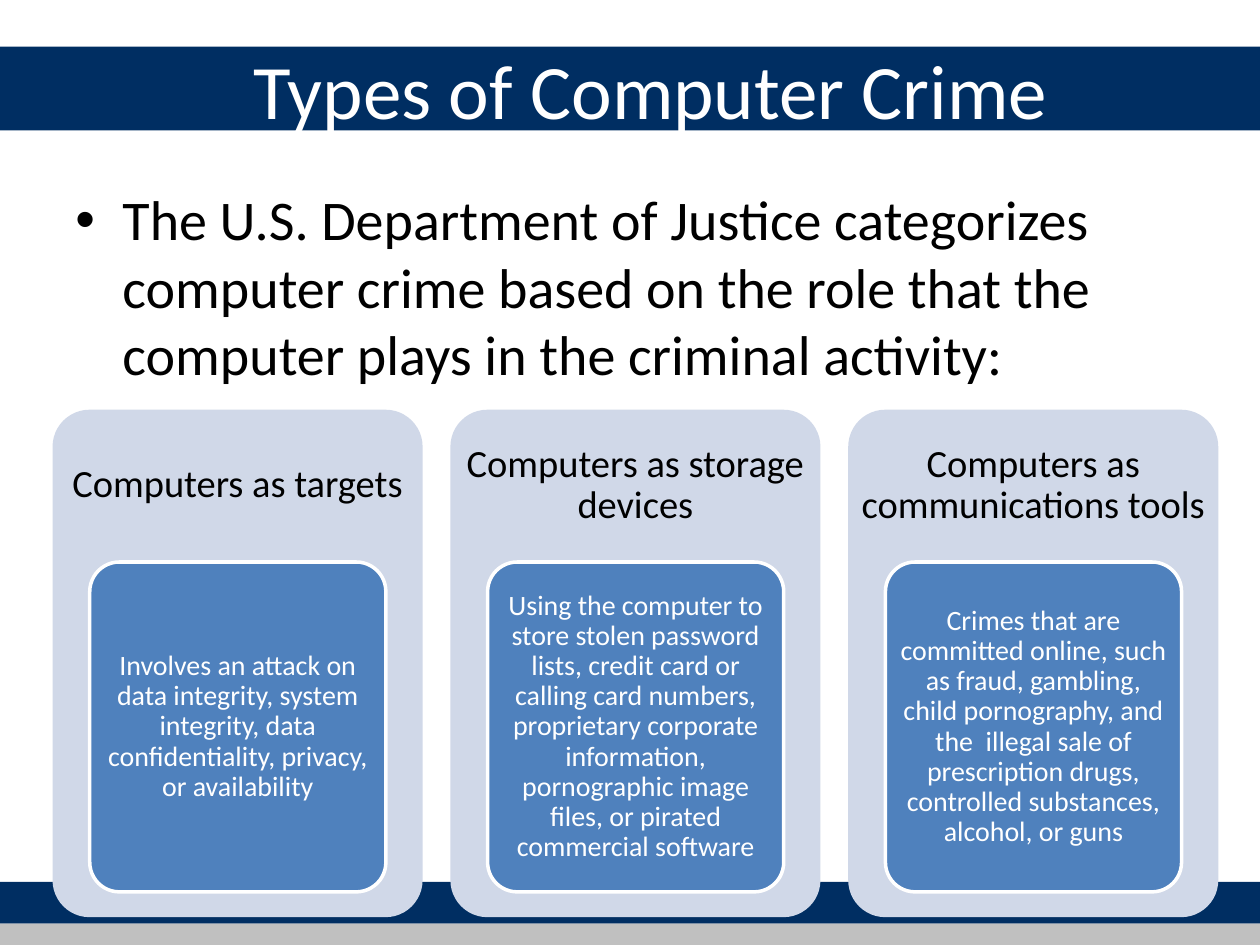
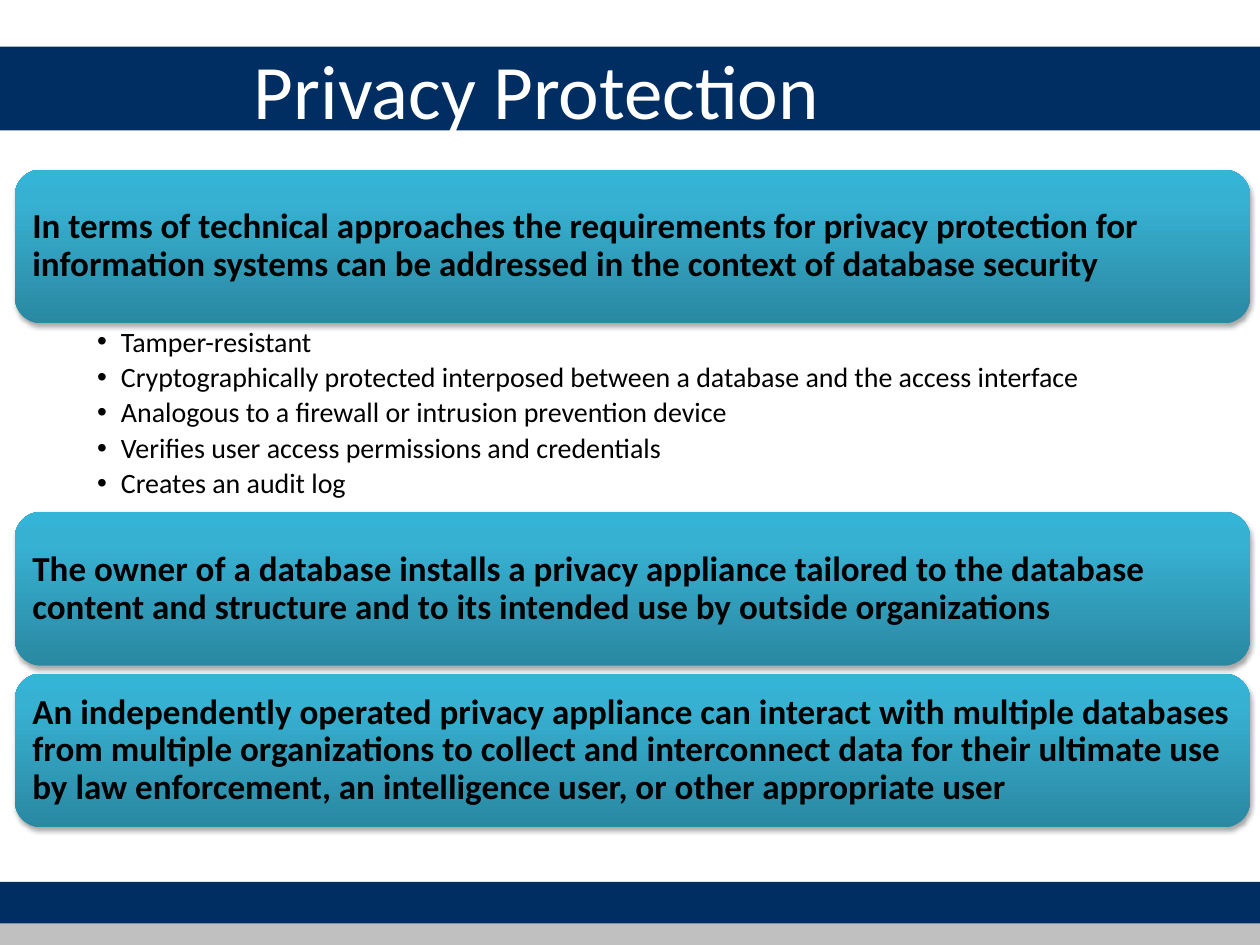
"""Build two slides on computer crime and privacy protection."""
from dataclasses import dataclass

from lxml import etree
from pptx import Presentation
from pptx.dml.color import RGBColor
from pptx.enum.shapes import MSO_SHAPE
from pptx.enum.text import MSO_ANCHOR, PP_ALIGN
from pptx.oxml import parse_xml
from pptx.oxml.ns import nsdecls, qn
from pptx.util import Cm, Pt


@dataclass(frozen=True)
class Theme:
    font: str = "Calibri"
    navy: str = "002E62"
    silver: str = "C0C0C0"
    white: str = "FFFFFF"
    black: str = "000000"
    card: str = "D0D8E8"
    panel: str = "4F81BD"
    banner: tuple = ((0, "2A88A2"), (80, "37B1D2"), (100, "34B4D6"))
    title_size: int = 44
    body_size: int = 32
    heading_size: int = 22
    banner_size: int = 20
    detail_size: int = 16


theme = Theme()


def add_block(slide, preset, box, color, corner=None):
    shape = slide.shapes.add_shape(preset, *map(Cm, box))
    shape.shadow.inherit = False
    shape.fill.solid()
    shape.fill.fore_color.rgb = RGBColor.from_string(color)
    shape.line.fill.background()
    if corner is not None:
        shape.adjustments[0] = corner
    return shape


def write_text(shape, lines, size, color, margins, anchor=MSO_ANCHOR.MIDDLE,
               bold=False, bullet=None, **paragraph_format):
    frame = shape.text_frame
    sides = ("margin_left", "margin_top", "margin_right", "margin_bottom")
    frame_format = dict(zip(sides, map(Cm, margins)),
                        word_wrap=True, vertical_anchor=anchor)
    for name, value in frame_format.items():
        setattr(frame, name, value)
    font_format = {"name": theme.font, "size": Pt(size), "bold": bold}
    for index, line in enumerate(lines):
        paragraph = frame.add_paragraph() if index else frame.paragraphs[0]
        for name, value in paragraph_format.items():
            setattr(paragraph, name, value)
        if bullet:
            properties = paragraph._p.get_or_add_pPr()
            properties.set("marL", str(Cm(bullet[0])))
            properties.set("indent", str(-Cm(bullet[1])))
            etree.SubElement(properties, qn("a:buFont")).set("typeface", "Arial")
            etree.SubElement(properties, qn("a:buChar")).set("char", "•")
        run = paragraph.add_run()
        run.text = line
        for name, value in font_format.items():
            setattr(run.font, name, value)
        run.font.color.rgb = RGBColor.from_string(color)


presentation = Presentation()
presentation.slide_width, presentation.slide_height = Cm(25.4), Cm(19.05)

bands = [(17.78, 0.84, theme.navy), (0.94, 1.69, theme.navy), (18.62, 0.43, theme.silver)]
slides = []
for title in ("Types of Computer Crime", "Privacy Protection"):
    slide = presentation.slides.add_slide(presentation.slide_layouts[6])
    for top, height, color in bands:
        add_block(slide, MSO_SHAPE.RECTANGLE, (0, top, 25.4, height), color)
    title_box = slide.shapes.add_textbox(Cm(4.87), Cm(0.21), Cm(20.11), Cm(3.17))
    write_text(title_box, [title], theme.title_size, theme.white, (0.25, 0.13, 0.25, 0.13))
    slides.append(slide)
crime_slide, privacy_slide = slides

introduction = crime_slide.shapes.add_textbox(Cm(1.27), Cm(3.6), Cm(22.86), Cm(4.6))
write_text(
    introduction,
    ["The U.S. Department of Justice categorizes computer crime based on the role "
     "that the computer plays in the criminal activity:"],
    theme.body_size, theme.black, (0.25, 0.13, 0.25, 0.13),
    anchor=MSO_ANCHOR.TOP, bullet=(0.95, 0.95))

crime_types = [
    ("Computers as targets",
     "Involves an attack on data integrity, system integrity, data confidentiality, "
     "privacy, or availability"),
    ("Computers as storage devices",
     "Using the computer to store stolen password lists, credit card or calling card "
     "numbers, proprietary corporate information, pornographic image files, or pirated "
     "commercial software"),
    ("Computers as communications tools",
     "Crimes that are committed online, such as fraud, gambling, child pornography, and "
     "the  illegal sale of prescription drugs, controlled substances, alcohol, or guns"),
]
centred = {"alignment": PP_ALIGN.CENTER, "line_spacing": 0.9}
for column, (heading, detail) in enumerate(crime_types):
    left = 1.06 + column * 8.02
    card = add_block(crime_slide, MSO_SHAPE.ROUNDED_RECTANGLE,
                     (left, 8.26, 7.46, 10.23), theme.card, 0.1)
    write_text(card, [heading], theme.heading_size, theme.black, (0, 0, 0, 7.18), **centred)
    panel = add_block(crime_slide, MSO_SHAPE.ROUNDED_RECTANGLE,
                      (left + 0.75, 11.33, 5.97, 6.65), theme.panel, 0.1)
    panel.line.color.rgb = RGBColor.from_string(theme.white)
    panel.line.width = Pt(2)
    write_text(panel, [detail], theme.detail_size, theme.white,
               (0.11, 0.08, 0.11, 0.08), **centred)

banners = [
    (3.42, "In terms of technical approaches the requirements for privacy protection for "
           "information systems can be addressed in the context of database security"),
    (10.32, "The owner of a database installs a privacy appliance tailored to the database "
            "content and structure and to its intended use by outside organizations"),
    (13.58, "An independently operated privacy appliance can interact with multiple databases "
            "from multiple organizations to collect and interconnect data for their ultimate "
            "use by law enforcement, an intelligence user, or other appropriate user"),
]
for top, statement in banners:
    banner = add_block(privacy_slide, MSO_SHAPE.ROUNDED_RECTANGLE,
                       (0.3, top, 24.9, 3.1), theme.navy, 0.17)
    banner.fill.gradient()
    banner.fill.gradient_angle = 90
    stops = banner._element.spPr.find(".//" + qn("a:gsLst"))
    stops[:] = [
        parse_xml(f'<a:gs {nsdecls("a")} pos="{position * 1000}"><a:srgbClr val="{color}"/></a:gs>')
        for position, color in theme.banner]
    banner._element.spPr.find(qn("a:effectLst")).append(parse_xml(
        f'<a:outerShdw {nsdecls("a")} blurRad="{Pt(3.1)}" dist="{Pt(1.8)}" dir="5400000" '
        f'rotWithShape="0"><a:srgbClr val="{theme.black}"><a:alpha val="35000"/>'
        '</a:srgbClr></a:outerShdw>'))
    write_text(banner, [statement], theme.banner_size, theme.black, (0.2, 0.2, 0.15, 0.2),
               bold=True, alignment=PP_ALIGN.LEFT, line_spacing=0.9)

features = [
    "Tamper-resistant",
    "Cryptographically protected interposed between a database and the access interface",
    "Analogous to a firewall or intrusion prevention device",
    "Verifies user access permissions and credentials",
    "Creates an audit log",
]
feature_list = privacy_slide.shapes.add_textbox(Cm(0.3), Cm(6.53), Cm(24.9), Cm(3.78))
write_text(feature_list, features, theme.detail_size, theme.black, (0.79, 0.08, 0.4, 0.08),
           anchor=MSO_ANCHOR.TOP, bullet=(1.35, 0.48), line_spacing=0.9, space_after=Pt(3))

presentation.save("out.pptx")
